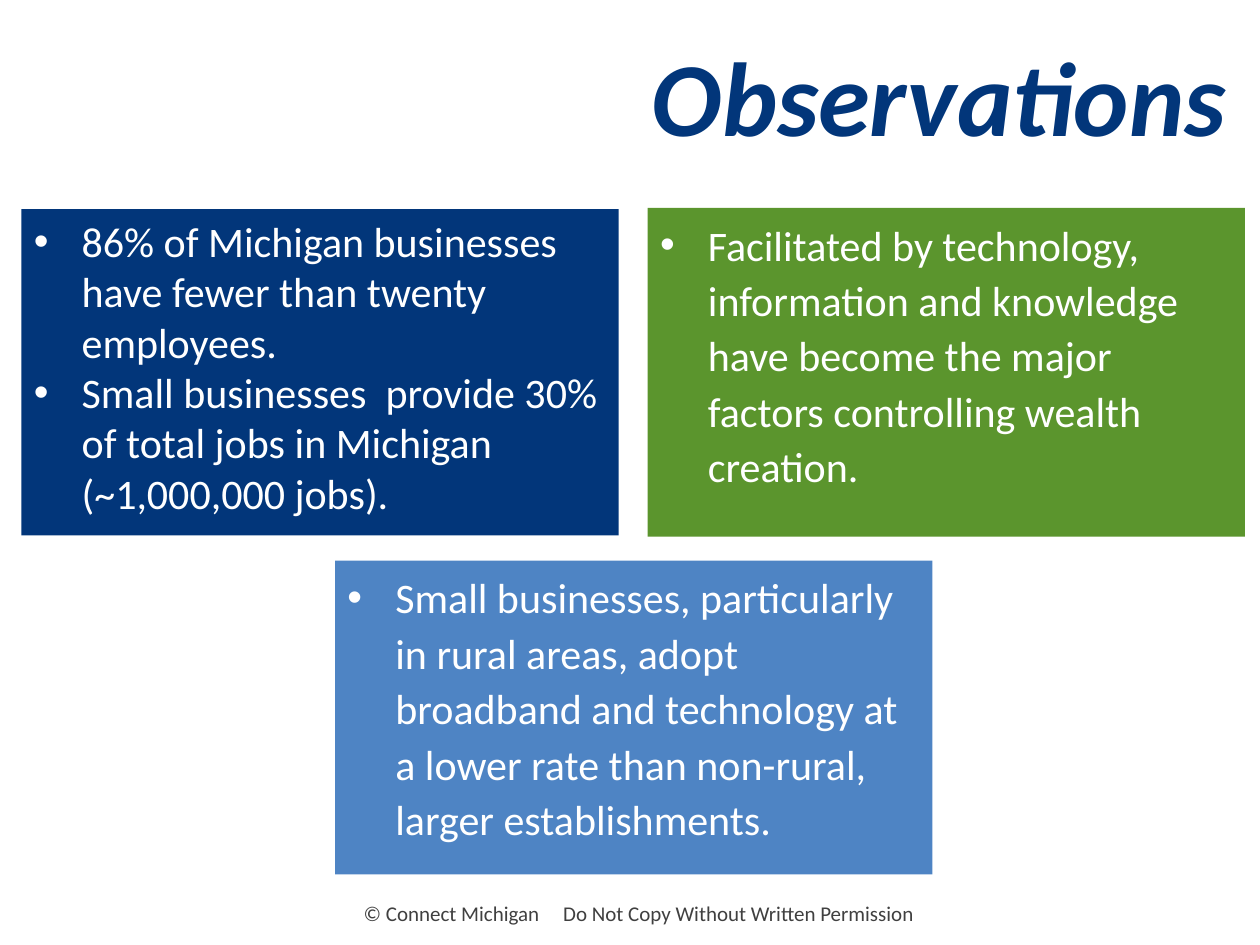
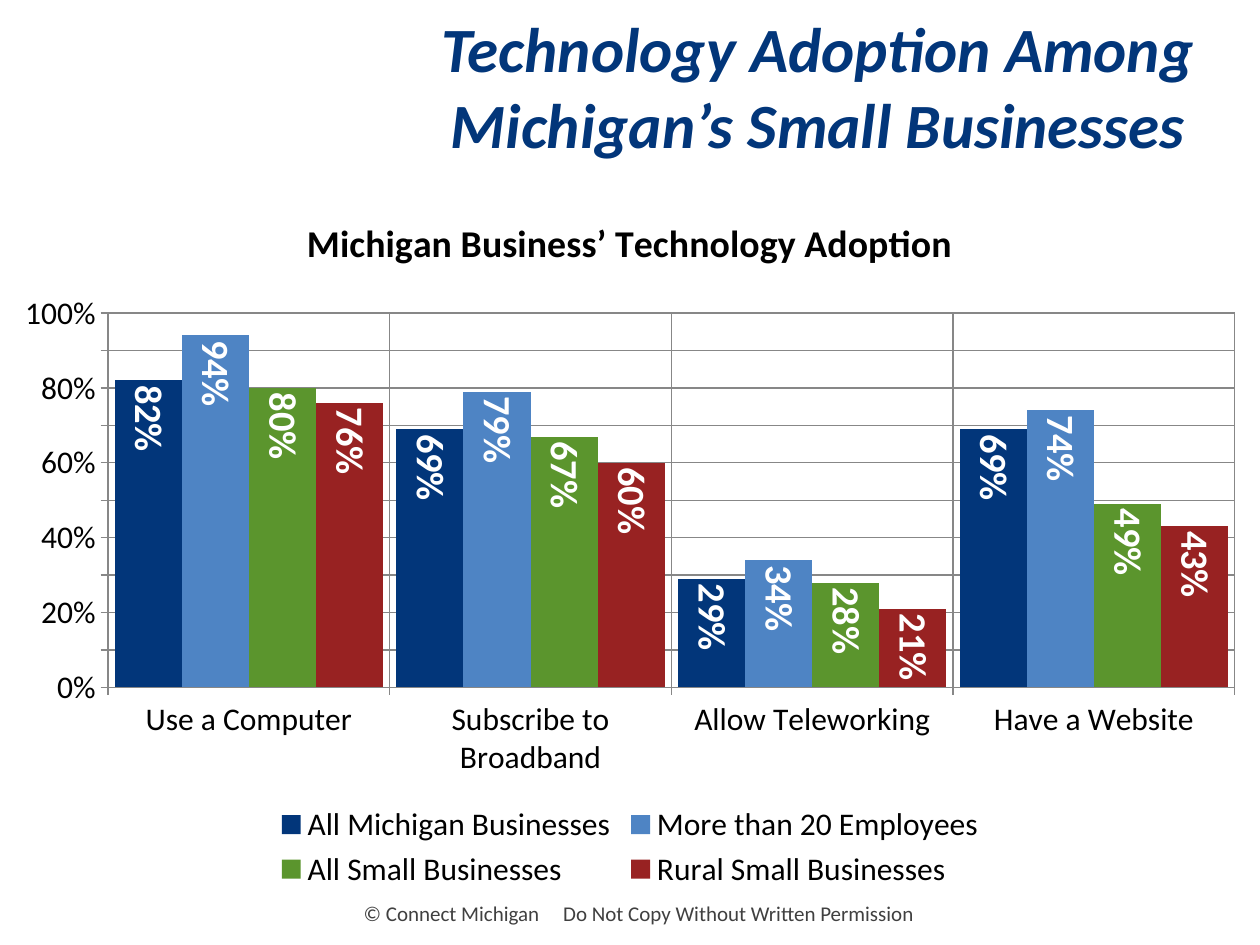
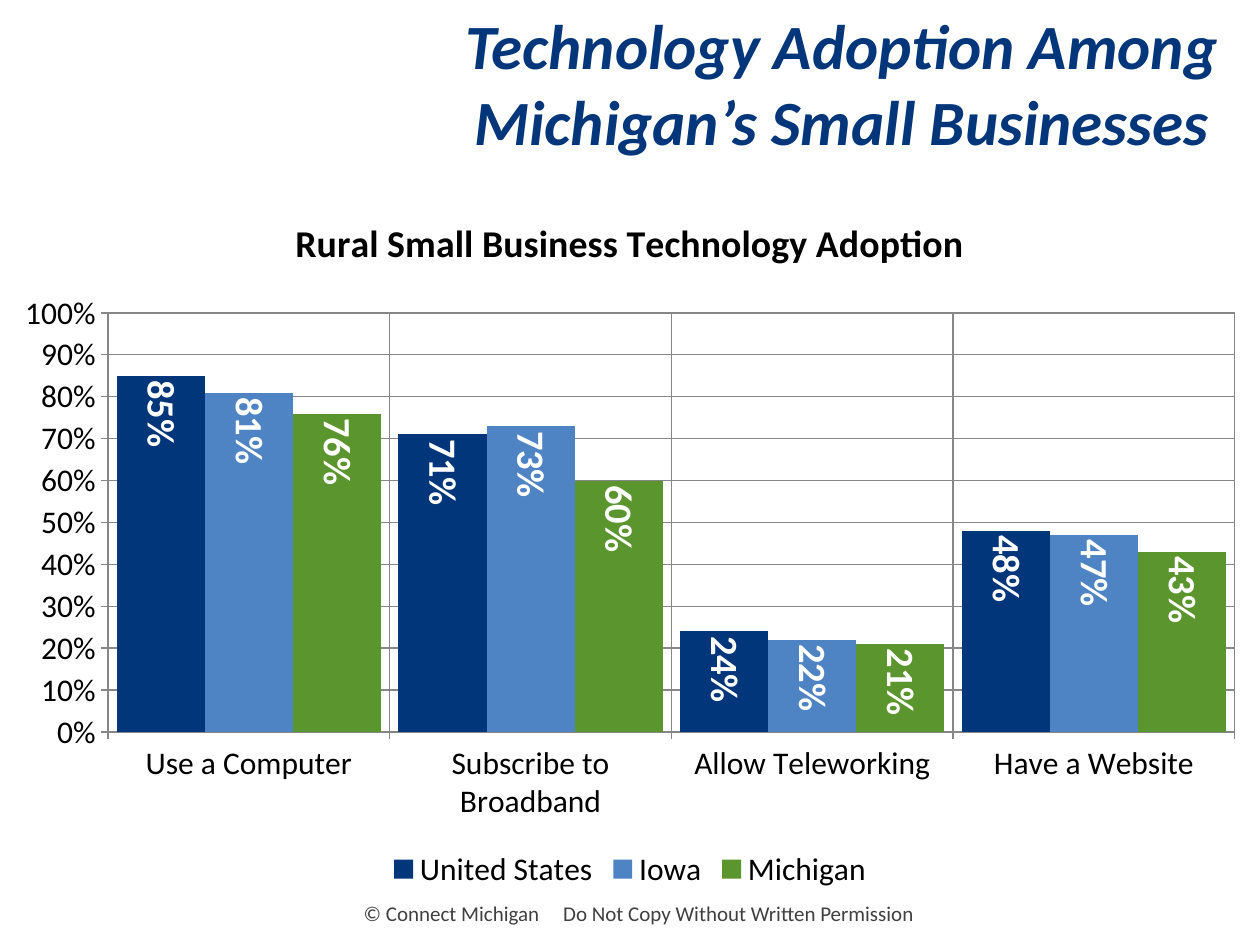
from dataclasses import dataclass

from pptx import Presentation
from pptx.chart.data import CategoryChartData
from pptx.dml.color import RGBColor
from pptx.enum.chart import (XL_CHART_TYPE, XL_LABEL_POSITION,
                             XL_LEGEND_POSITION, XL_TICK_MARK)
from pptx.enum.shapes import MSO_SHAPE
from pptx.enum.text import MSO_ANCHOR, PP_ALIGN
from pptx.oxml.xmlchemy import OxmlElement
from pptx.util import Inches, Pt

RECT = MSO_SHAPE.RECTANGLE
COLUMN = XL_CHART_TYPE.COLUMN_CLUSTERED
INSIDE = XL_LABEL_POSITION.INSIDE_END
BOTTOM = XL_LEGEND_POSITION.BOTTOM
CROSS = XL_TICK_MARK.CROSS
TOP, MIDDLE = MSO_ANCHOR.TOP, MSO_ANCHOR.MIDDLE
LEFT, CENTER, RIGHT = PP_ALIGN.LEFT, PP_ALIGN.CENTER, PP_ALIGN.RIGHT

FONT = "Calibri"
NAVY, BLUE, GREEN, RED = "02367A", "4E84C4", "5B952D", "982222"
WHITE, BLACK, GRAY, GRID = "FFFFFF", "000000", "404040", "878787"
FILLS = [NAVY, BLUE, GREEN, RED]

TOPIC = "Technology Adoption Among Michigan’s Small Businesses"
CATS = ["Use a Computer", "Subscribe to Broadband",
        "Allow Teleworking", "Have a Website"]


@dataclass
class Box:
    left: float
    top: float
    width: float
    height: float

    def place(self) -> list:
        return [Inches(n) for n in (self.left, self.top, self.width, self.height)]


@dataclass
class Panel:
    box: Box
    fill: str
    lines: list[str]
    space: float = 1.0


@dataclass
class Graph:
    head: Box
    title: str
    rows: dict[str, list[float]]


PANELS = [
    Panel(Box(0.17, 1.66, 4.74, 2.59), NAVY, [
        "86% of Michigan businesses have fewer than twenty employees.",
        "Small businesses  provide 30% of total jobs in Michigan "
        "(~1,000,000 jobs)."]),
    Panel(Box(2.66, 4.45, 4.74, 2.49), BLUE, [
        "Small businesses, particularly in rural areas, adopt broadband and "
        "technology at a lower rate than non-rural, larger establishments."], 1.1),
    Panel(Box(5.14, 1.65, 4.74, 2.61), GREEN, [
        "Facilitated by technology, information and knowledge have become "
        "the major factors controlling wealth creation."], 1.1),
]

GRAPHS = [
    Graph(Box(3.19, 0.05, 6.6, 1.25), "Michigan Business’ Technology Adoption", {
        "All Michigan Businesses": [0.82, 0.69, 0.29, 0.69],
        "More than 20 Employees": [0.94, 0.79, 0.34, 0.74],
        "All Small Businesses": [0.8, 0.67, 0.28, 0.49],
        "Rural Small Businesses": [0.76, 0.6, 0.21, 0.43]}),
    Graph(Box(3.38, 0.03, 6.6, 1.25), "Rural Small Business Technology Adoption", {
        "United States": [0.85, 0.71, 0.24, 0.48],
        "Iowa": [0.81, 0.73, 0.22, 0.47],
        "Michigan": [0.76, 0.6, 0.21, 0.43]}),
]


def color(code: str) -> RGBColor:
    return RGBColor.from_string(code)


def style(font, size: float, code: str, bold: bool = False,
          italic: bool = False) -> None:
    font.name, font.size = FONT, Pt(size)
    font.bold, font.italic = bold, italic
    font.color.rgb = color(code)


def bullet(para) -> None:
    props = para._p.get_or_add_pPr()
    props.set("marL", str(Inches(0.38)))
    props.set("indent", str(-Inches(0.38)))
    for tag, name, value in (("a:buFont", "typeface", "Arial"),
                             ("a:buChar", "char", "•")):
        mark = OxmlElement(tag)
        mark.set(name, value)
        props.append(mark)


def write(shape, lines: list[str], size: float, code: str, align=LEFT,
          anchor=TOP, space: float = 1.0, dots: bool = False,
          bold: bool = False, italic: bool = False) -> None:
    frame = shape.text_frame
    frame.word_wrap, frame.vertical_anchor = True, anchor
    for n, line in enumerate(lines):
        para = frame.add_paragraph() if n else frame.paragraphs[0]
        para.alignment, para.line_spacing = align, space
        if dots:
            bullet(para)
        run = para.add_run()
        run.text = line
        style(run.font, size, code, bold, italic)


def title(slide, text: str, box: Box, size: float, align=CENTER) -> None:
    shape = slide.shapes.add_textbox(*box.place())
    write(shape, [text], size, NAVY, align=align, anchor=MIDDLE,
          bold=True, italic=True)


def footer(slide) -> None:
    shape = slide.shapes.add_textbox(*Box(0.42, 7.1, 9.3, 0.4).place())
    write(shape, ["© Connect Michigan"], 12, GRAY, align=CENTER)
    para = shape.text_frame.paragraphs[0]
    for text in (" ", "Do Not Copy Without Written Permission"):
        run = para.add_run()
        run.text = text
        style(run.font, 12, GRAY)
    # Widen the single space between the two statements
    para.runs[1].font._element.set("spc", "1080")


def panel(slide, item: Panel) -> None:
    shape = slide.shapes.add_shape(RECT, *item.box.place())
    shape.shadow.inherit = False
    shape.fill.solid()
    shape.fill.fore_color.rgb = color(item.fill)
    shape.line.fill.background()
    write(shape, item.lines, 24, WHITE, space=item.space, dots=True)


def graph(slide, item: Graph) -> None:
    data = CategoryChartData(number_format="0%")
    data.categories = CATS
    for name, values in item.rows.items():
        data.add_series(name, values)
    box = Box(0, 1.5, 10, 5.6)
    chart = slide.shapes.add_chart(COLUMN, *box.place(), data).chart
    style(chart.font, 18, BLACK)

    # Heading and legend
    chart.has_title = True
    frame = chart.chart_title.text_frame
    frame.text = item.title
    style(frame.paragraphs[0].runs[0].font, 21.6, BLACK, bold=True)
    chart.has_legend = True
    chart.legend.position = BOTTOM
    chart.legend.include_in_layout = False

    # Axes
    for axis in (chart.category_axis, chart.value_axis):
        axis.has_major_gridlines = True
        axis.major_tick_mark = CROSS
        for line in (axis.format.line, axis.major_gridlines.format.line):
            line.color.rgb = color(GRID)
            line.width = Pt(0.75)
    scale = chart.value_axis
    scale.minimum_scale, scale.maximum_scale, scale.major_unit = 0, 1, 0.1
    scale.tick_labels.number_format = "0%"
    scale.tick_labels.number_format_is_linked = False

    # Columns with upright labels
    plot = chart.plots[0]
    plot.gap_width, plot.overlap, plot.vary_by_categories = 20, 0, False
    for series, fill in zip(plot.series, FILLS):
        series.format.fill.solid()
        series.format.fill.fore_color.rgb = color(fill)
        labels = series.data_labels
        labels.show_value, labels.position = True, INSIDE
        labels.number_format = "0%"
        labels.number_format_is_linked = False
        style(labels.font, 22, WHITE, bold=True)
        body = labels._element.txPr.bodyPr
        body.set("rot", "5400000")
        body.set("vert", "horz")


def main() -> None:
    deck = Presentation()
    deck.slide_width, deck.slide_height = Inches(10), Inches(7.5)
    blank = deck.slide_layouts[6]

    # Observations
    slide = deck.slides.add_slide(blank)
    title(slide, "Observations", Box(2.19, 0, 7.64, 1.5), 60, RIGHT)
    for item in PANELS:
        panel(slide, item)
    footer(slide)

    # Technology adoption
    for item in GRAPHS:
        slide = deck.slides.add_slide(blank)
        graph(slide, item)
        title(slide, TOPIC, item.head, 36)
        footer(slide)

    deck.save("out.pptx")


if __name__ == "__main__":
    main()
